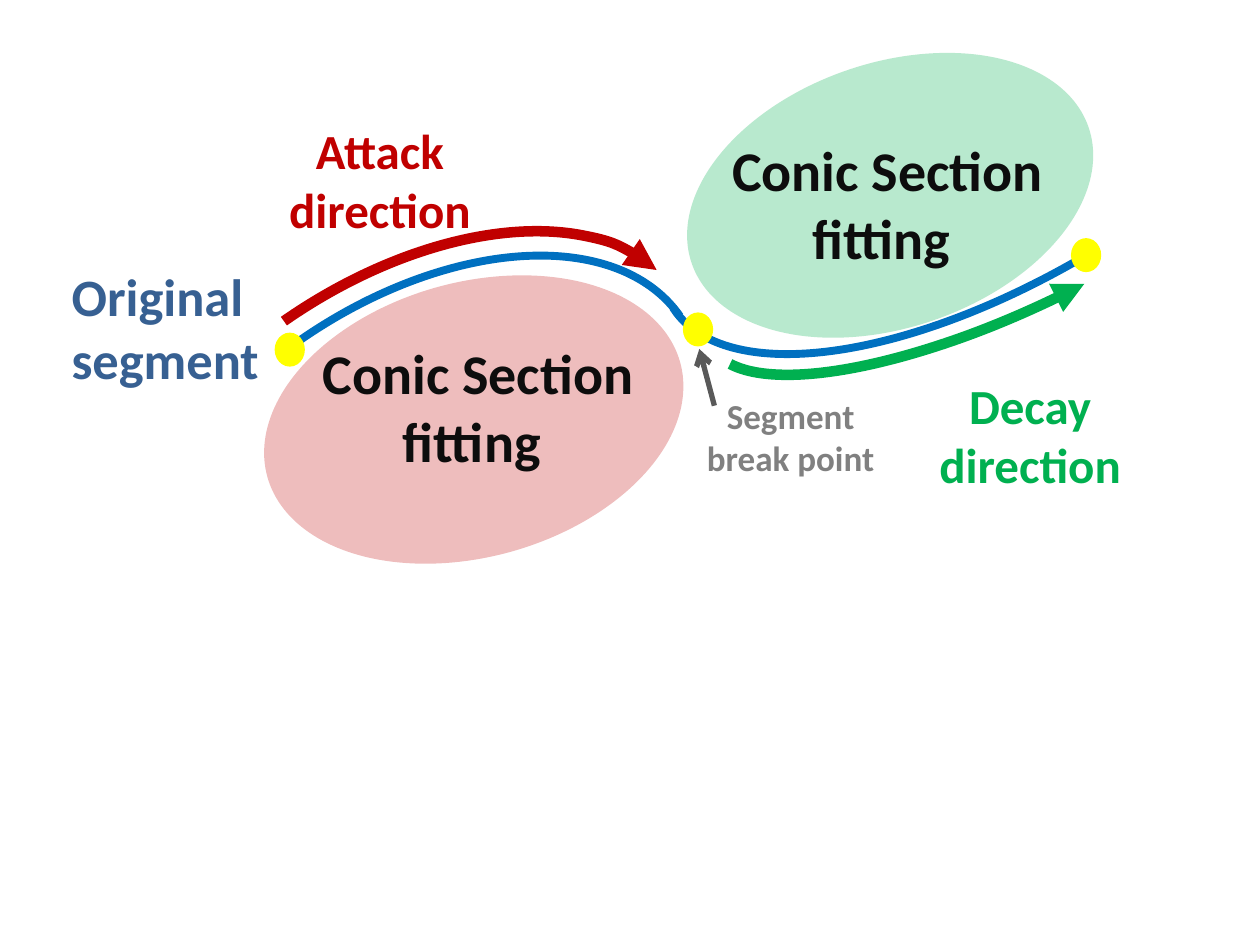
from lxml import etree
from pptx import Presentation
from pptx.dml.color import RGBColor
from pptx.enum.shapes import MSO_CONNECTOR, MSO_SHAPE
from pptx.enum.text import MSO_AUTO_SIZE, PP_ALIGN
from pptx.oxml.ns import qn
from pptx.util import Inches, Pt

ARC, OVAL = MSO_SHAPE.ARC, MSO_SHAPE.OVAL
LINE = MSO_CONNECTOR.STRAIGHT
LEFT, CENTER = PP_ALIGN.LEFT, PP_ALIGN.CENTER
GROW = MSO_AUTO_SIZE.SHAPE_TO_FIT_TEXT

RED, GREEN, BLUE, YELLOW = "C00000", "00B050", "0070C0", "FFFF00"
NAVY, BLACK, GREY, DARK = "376092", "0D0D0D", "808080", "595959"


def color(code):
    return RGBColor.from_string(code)


class Sketch:
    font = "Calibri"

    def __init__(self, slide):
        self.slide = slide
        self.shapes = slide.shapes

    def stroke(self, shape, code, width, **ends):
        """Style a line; ends maps headEnd or tailEnd to an arrow type."""
        shape.line.color.rgb = color(code)
        shape.line.width = Pt(width)
        for end, kind in ends.items():
            etree.SubElement(shape.line._get_or_add_ln(), qn(f"a:{end}"), type=kind)

    def shape(self, kind, box, turn):
        item = self.shapes.add_shape(kind, *map(Inches, box))
        item.shadow.inherit = False
        item.rotation = turn
        return item

    def arc(self, box, turn, code, width, span=None, **ends):
        item = self.shape(ARC, box, turn)
        item.fill.background()
        for i, angle in enumerate(span or ()):
            item.adjustments[i] = angle
        self.stroke(item, code, width, **ends)

    def oval(self, box, code, turn=0, alpha=100):
        item = self.shape(OVAL, box, turn)
        item.fill.solid()
        item.fill.fore_color.rgb = color(code)
        item.line.fill.background()
        if alpha < 100:
            tint = item._element.spPr.find(qn("a:solidFill"))[0]
            etree.SubElement(tint, qn("a:alpha"), val=str(alpha * 1000))

    def dot(self, left, top):
        self.oval((left, top, 0.24, 0.27), YELLOW)

    def arrow(self, start, end, code, width):
        item = self.shapes.add_connector(LINE, *map(Inches, start + end))
        self.stroke(item, code, width, tailEnd="arrow")
        etree.SubElement(item._element.spPr, qn("a:effectLst"))

    def label(self, box, text, size, code, align=CENTER, wrap=True):
        frame = self.shapes.add_textbox(*map(Inches, box)).text_frame
        frame.word_wrap = wrap
        frame.auto_size = GROW
        frame.text = text
        for para in frame.paragraphs:
            para.alignment = align
            for run in para.runs:
                run.font.name = self.font
                run.font.size = Pt(size)
                run.font.bold = True
                run.font.color.rgb = color(code)


def main():
    deck = Presentation()
    deck.slide_width, deck.slide_height = Inches(10), Inches(7.5)
    art = Sketch(deck.slides.add_slide(deck.slide_layouts[6]))

    # Grouped diagram
    art.shapes = art.slide.shapes.add_group_shape().shapes

    # Attack and decay directions
    art.arc((0.49, 2.26, 5.34, 3.13), 325.4, RED, 6, (161.52, 213.16),
            tailEnd="triangle")
    art.label((2.18, 0.91, 1.67, 1.04), "Attack direction", 28, RED)
    art.arc((5.36, 0.66, 5.45, 1.75), 153.7, GREEN, 6, (156.2, 213.44),
            headEnd="triangle")
    art.label((7.34, 2.93, 1.67, 1.04), "Decay direction", 28, GREEN)

    # Attack conic and the curve of the segment
    art.oval((2.06, 2.24, 3.4, 2.18), RED, 344.5, 26)
    art.label((2.14, 2.64, 3.31, 1.18), "Conic Section fitting ", 32, BLACK)
    art.arc((0.69, 2.42, 5.17, 3.13), 325.2, BLUE, 4.5)
    art.arc((4.85, -0.66, 6.42, 2.79), 147.9, BLUE, 4.5, (166.31, 0))
    art.dot(5.42, 2.48)

    # Decay conic
    art.oval((5.4, 0.5, 3.33, 2.1), GREEN, 341.1, 28)
    art.label((5.35, 1.03, 3.39, 1.18), "Conic Section fitting ", 32, BLACK)

    # Segment name and end points
    art.label((0.47, 2.05, 1.7, 1.11), "Original\nsegment", 30, NAVY, LEFT, False)
    art.dot(8.5, 1.89)
    art.dot(2.18, 2.64)

    # Break point note, outside the group
    art.shapes = art.slide.shapes
    art.arrow((5.67, 3.22), (5.55, 2.77), DARK, 3)
    art.label((5.44, 3.08, 1.67, 0.77), "Segment break point", 20, GREY)

    deck.save("out.pptx")


if __name__ == "__main__":
    main()
